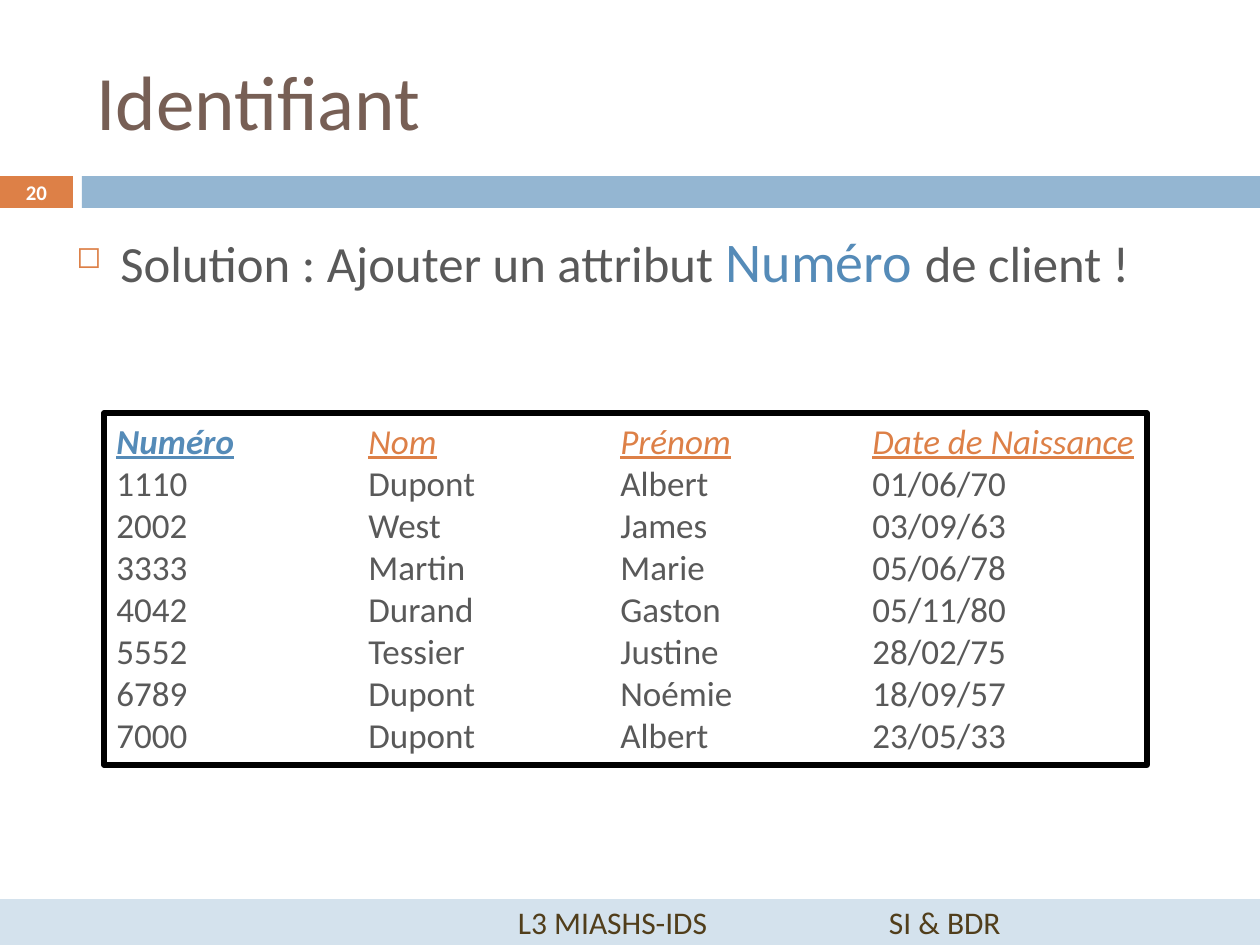
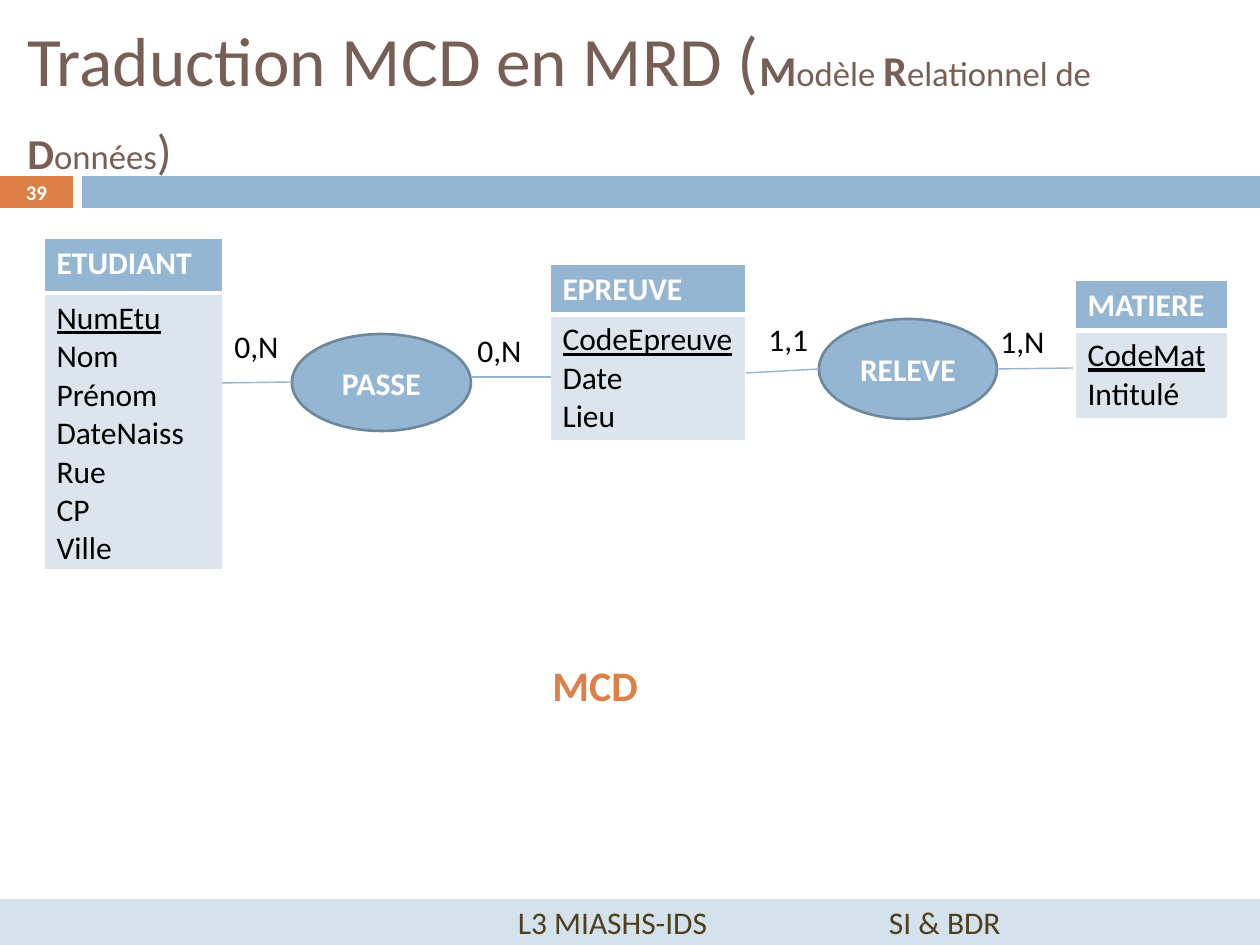
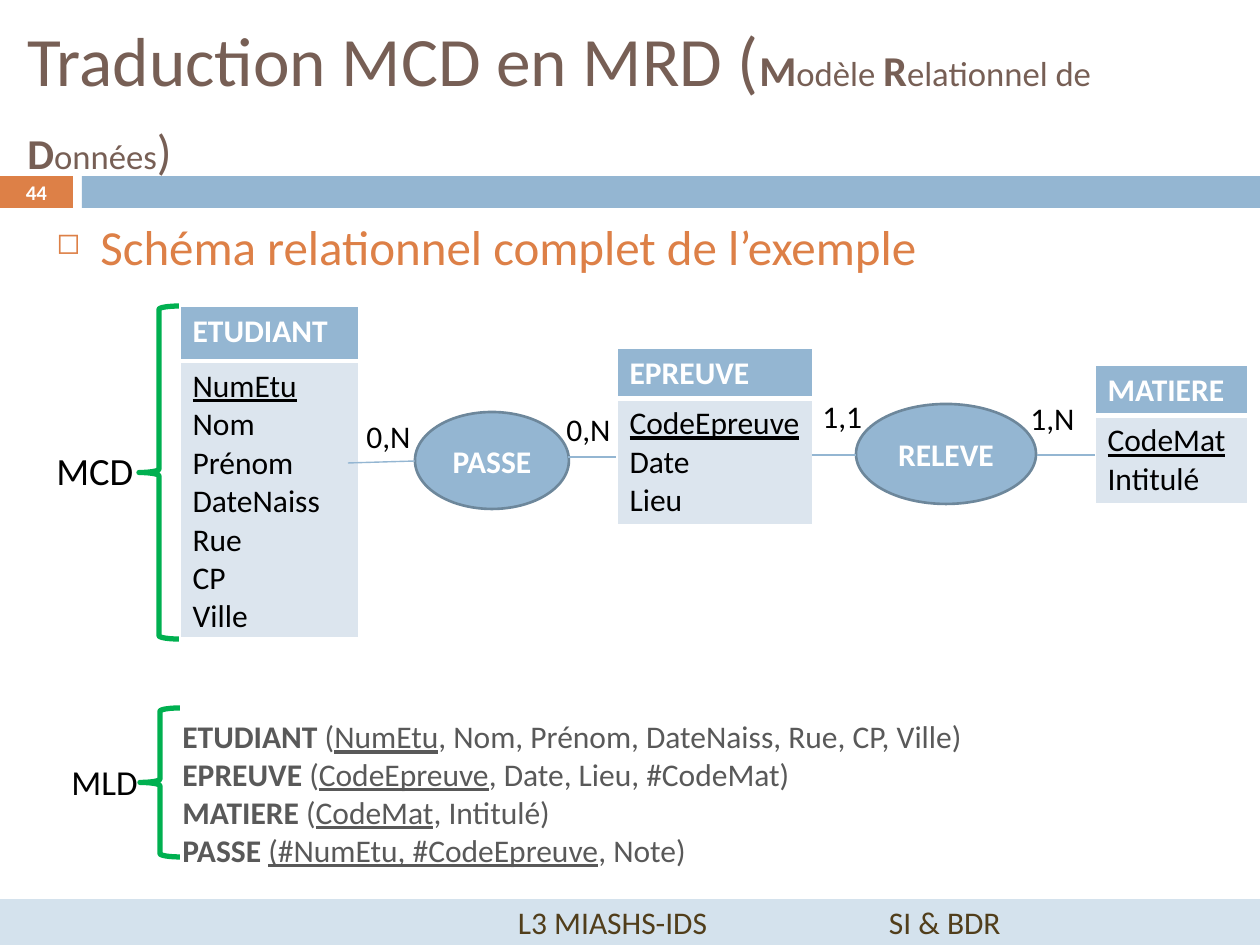
from lxml import etree
from pptx import Presentation
from pptx import util as u
from pptx.dml.color import RGBColor
from pptx.enum import shapes, text
from pptx.oxml.ns import qn

PX = 914400 / 126
FONT = "Calibri"
BLUE = RGBColor(0x94, 0xB6, 0xD2)
PALE_BLUE = RGBColor(0xD4, 0xE2, 0xED)
CELL_BLUE = RGBColor(0xDC, 0xE5, 0xEE)
KEY_BLUE = RGBColor(0x55, 0x8B, 0xB8)
EDGE_BLUE = RGBColor(0x6D, 0x87, 0x9B)
ORANGE = RGBColor(0xDD, 0x80, 0x47)
BROWN = RGBColor(0x77, 0x5F, 0x55)
DARK_BROWN = RGBColor(0x51, 0x3E, 0x1B)
GREY = RGBColor(0x59, 0x59, 0x59)
GREEN = RGBColor(0x00, 0xB0, 0x50)
BLACK = RGBColor(0, 0, 0)
WHITE = RGBColor(0xFF, 0xFF, 0xFF)
RECT = shapes.MSO_SHAPE.RECTANGLE
CENTER = text.PP_ALIGN.CENTER


def write(frame, paragraphs, size, color, align=None, tabs=(), bullet=None, **style):
    """Fill a frame; a paragraph is a string or a list of (text, font overrides) runs."""
    for index, runs in enumerate(paragraphs):
        paragraph = frame.paragraphs[0] if index == 0 else frame.add_paragraph()
        paragraph.alignment = align
        props = paragraph._p.get_or_add_pPr()
        if bullet:
            props.set("marL", str(round(44 * PX)))
            props.set("indent", str(round(-44 * PX)))
            bullet_color = etree.SubElement(props, qn("a:buClr"))
            etree.SubElement(bullet_color, qn("a:srgbClr"), val=str(ORANGE))
            etree.SubElement(props, qn("a:buSzPct"), val="60000")
            etree.SubElement(props, qn("a:buChar"), char=bullet)
        if tabs:
            stops = etree.SubElement(props, qn("a:tabLst"))
            for stop in tabs:
                etree.SubElement(stops, qn("a:tab"), pos=str(round(stop * PX)), algn="l")
        for words, changes in [(runs, {})] if isinstance(runs, str) else runs:
            run = paragraph.add_run()
            run.text = words
            look = {"size": size, "color": color, **style, **changes}
            run.font.name = FONT
            run.font.size = u.Pt(look.pop("size"))
            run.font.color.rgb = look.pop("color")
            for key, value in look.items():
                setattr(run.font, key, value)


def add_box(slide, place, kind=None, fill=None, line=None, width=1.5, middle=False):
    """Add a preset shape, or a text box when no kind is given; place is in px."""
    place = [round(n * PX) for n in place]
    if kind is None:
        box = slide.shapes.add_textbox(*place)
    else:
        box = slide.shapes.add_shape(kind, *place)
        box.shadow.inherit = False
        if fill is None:
            box.fill.background()
        else:
            box.fill.solid()
            box.fill.fore_color.rgb = fill
        if line is None:
            box.line.fill.background()
        else:
            box.line.color.rgb = line
            box.line.width = u.Pt(width)
    box.text_frame.word_wrap = True
    anchors = text.MSO_ANCHOR
    box.text_frame.vertical_anchor = anchors.MIDDLE if middle else anchors.TOP
    return box


prs = Presentation()
prs.slide_width = round(1260 * PX)
prs.slide_height = round(945 * PX)

# Titles, bands and footers
BIG, SMALL = {"size": 24.3, "bold": True}, {"size": 19.8}
translation_title = [
    ("Traduction MCD en MRD (", {}), ("M", BIG), ("odèle ", SMALL), ("R", BIG),
    ("elationnel de ", SMALL), ("D", BIG), ("onnées", SMALL), (")", {"size": 27.9}), (" ", {}),
]
pages = [
    ("20", "Identifiant", 44, (84, 32, 1124, 136)),
    ("39", translation_title, 39.6, (15, 32, 1230, 136)),
    ("44", translation_title, 39.6, (15, 32, 1230, 136)),
]
slides = []
for number, title, title_size, title_place in pages:
    slide = prs.slides.add_slide(prs.slide_layouts[6])
    slides.append(slide)
    number_band = add_box(slide, (0, 176, 73, 32), RECT, ORANGE, middle=True)
    write(number_band.text_frame, [number], 11.9, WHITE, CENTER, bold=True)
    add_box(slide, (82, 176, 1178, 32), RECT, BLUE)
    write(add_box(slide, title_place, middle=True).text_frame, [title], title_size, BROWN)
    footer = add_box(slide, (0, 899, 1260, 46), RECT, PALE_BLUE, middle=True)
    footer.text_frame.margin_left = round(518 * PX)
    write(footer.text_frame, ["L3 MIASHS-IDS\tSI & BDR"], 18, DARK_BROWN,
          text.PP_ALIGN.LEFT, tabs=[371])
identifier_slide, mcd_slide, schema_slide = slides

# Identifiant
solution = add_box(identifier_slide, (64, 220, 1124, 620))
write(solution.text_frame,
      [[("Solution : Ajouter un attribut ", {}), ("Numéro ", {"size": 32, "color": KEY_BLUE}),
        ("de client !", {})]], 29, GREY, bullet="◻")

clients = [
    ("1110", "Dupont", "Albert", "01/06/70"),
    ("2002", "West", "James", "03/09/63"),
    ("3333", "Martin", "Marie", "05/06/78"),
    ("4042", "Durand", "Gaston", "05/11/80"),
    ("5552", "Tessier", "Justine", "28/02/75"),
    ("6789", "Dupont", "Noémie", "18/09/57"),
    ("7000", "Dupont", "Albert", "23/05/33"),
]
HEADING = {"italic": True, "underline": True}
headings = [("Numéro", {"color": KEY_BLUE, "bold": True, **HEADING}),
            ("\tNom\tPrénom\tDate de Naissance", {"color": ORANGE, **HEADING})]
client_list = add_box(identifier_slide, (104, 413, 1043, 352), RECT, line=BLACK, width=3)
client_list.text_frame.margin_right = 0
write(client_list.text_frame, [headings] + ["\t".join(client) for client in clients],
      20, GREY, text.PP_ALIGN.LEFT, tabs=[252, 504, 756])

# Entity and association diagrams
entities = [
    ("ETUDIANT", ["NumEtu", "Nom", "Prénom", "DateNaiss", "Rue", "CP", "Ville"], 179, (55, 277)),
    ("EPREUVE", ["CodeEpreuve", "Date", "Lieu"], 196, (49, 126)),
    ("MATIERE", ["CodeMat", "Intitulé"], 153, (49, 88)),
]
diagrams = [
    (mcd_slide,
     [(44, 238), (550, 264), (1075, 280)],
     [("PASSE", (292, 334, 179, 97)), ("RELEVE", (819, 319, 178, 100))],
     [(292, 382, 222, 383), (471, 377, 551, 377), (746, 373, 819, 369), (997, 369, 1073, 368)],
     [(222, 321), (465, 325), (756, 314), (988, 316)]),
    (schema_slide,
     [(180, 306), (617, 348), (1095, 365)],
     [("PASSE", (415, 412, 154, 97)), ("RELEVE", (856, 404, 180, 100))],
     [(415, 461, 348, 463), (616, 457, 568, 457), (812, 455, 856, 455), (1037, 455, 1095, 455)],
     [(354, 411), (554, 404), (810, 391), (1018, 393)]),
]
for slide, corners, associations, links, cardinality_corners in diagrams:
    for (entity, attributes, width, heights), (left, top) in zip(entities, corners):
        place = [round(n * PX) for n in (left, top, width, sum(heights))]
        table = slide.shapes.add_table(2, 1, *place).table
        table.horz_banding = False
        key, *others = attributes
        contents = [([entity], WHITE, True, BLUE),
                    ([[(key, {"underline": True})]] + others, BLACK, False, CELL_BLUE)]
        for row, (paragraphs, color, bold, fill) in enumerate(contents):
            table.rows[row].height = round(heights[row] * PX)
            cell = table.cell(row, 0)
            cell.margin_right = round(6 * PX)
            write(cell.text_frame, paragraphs, 18, color, bold=bold)
            cell_props = cell._tc.get_or_add_tcPr()
            for side in ("lnL", "lnR", "lnT", "lnB"):
                at_divider = (row, side) in [(0, "lnB"), (1, "lnT")]
                border = etree.SubElement(cell_props, qn("a:" + side),
                                          w=str(u.Pt(3 if at_divider else 1)))
                border_fill = etree.SubElement(border, qn("a:solidFill"))
                etree.SubElement(border_fill, qn("a:srgbClr"), val=str(WHITE))
            cell.fill.solid()
            cell.fill.fore_color.rgb = fill
    for association, place in associations:
        oval = add_box(slide, place, shapes.MSO_SHAPE.OVAL, BLUE, EDGE_BLUE, middle=True)
        write(oval.text_frame, [association], 18, WHITE, CENTER, bold=True)
    for ends in links:
        link = slide.shapes.add_connector(shapes.MSO_CONNECTOR.STRAIGHT,
                                          *[round(n * PX) for n in ends])
        link.line.color.rgb = BLUE
        link.line.width = u.Pt(0.79)
        etree.SubElement(link._element.spPr, qn("a:effectLst"))
    for cardinality, (left, top) in zip(["0,N", "0,N", "1,1", "1,N"], cardinality_corners):
        write(add_box(slide, (left, top, 85, 50)).text_frame, [cardinality], 18, BLACK)

write(add_box(mcd_slide, (540, 653, 129, 63)).text_frame, ["MCD"], 24, ORANGE, bold=True)

# Schéma relationnel
heading = add_box(schema_slide, (44, 210, 1162, 80))
write(heading.text_frame, ["Schéma relationnel complet de l’exemple"], 28, ORANGE, bullet="◻")
models = [
    ("MCD", 22, (44, 441, 110, 59), (139, 306, 40, 333)),
    ("MLD", 20, (59, 754, 95, 55), (140, 708, 40, 149)),
]
for model, size, label_place, brace_place in models:
    add_box(schema_slide, brace_place, shapes.MSO_SHAPE.LEFT_BRACE, line=GREEN, width=3)
    write(add_box(schema_slide, label_place).text_frame, [model], size, BLACK)

relations = [
    ("ETUDIANT ", "(", "NumEtu", ", Nom, Prénom, DateNaiss, Rue, CP, Ville)"),
    ("EPREUVE ", "(", "CodeEpreuve", ", Date, Lieu, #CodeMat)"),
    ("MATIERE ", "(", "CodeMat", ", Intitulé)"),
    ("PASSE ", "", "(#NumEtu, #CodeEpreuve", ", Note)"),
]
relation_list = add_box(schema_slide, (170, 711, 1000, 166))
write(relation_list.text_frame,
      [[(name, {"bold": True}), (opening, {}), (key, {"underline": True}), (rest, {})]
       for name, opening, key, rest in relations], 18, GREY)

prs.save("out.pptx")
